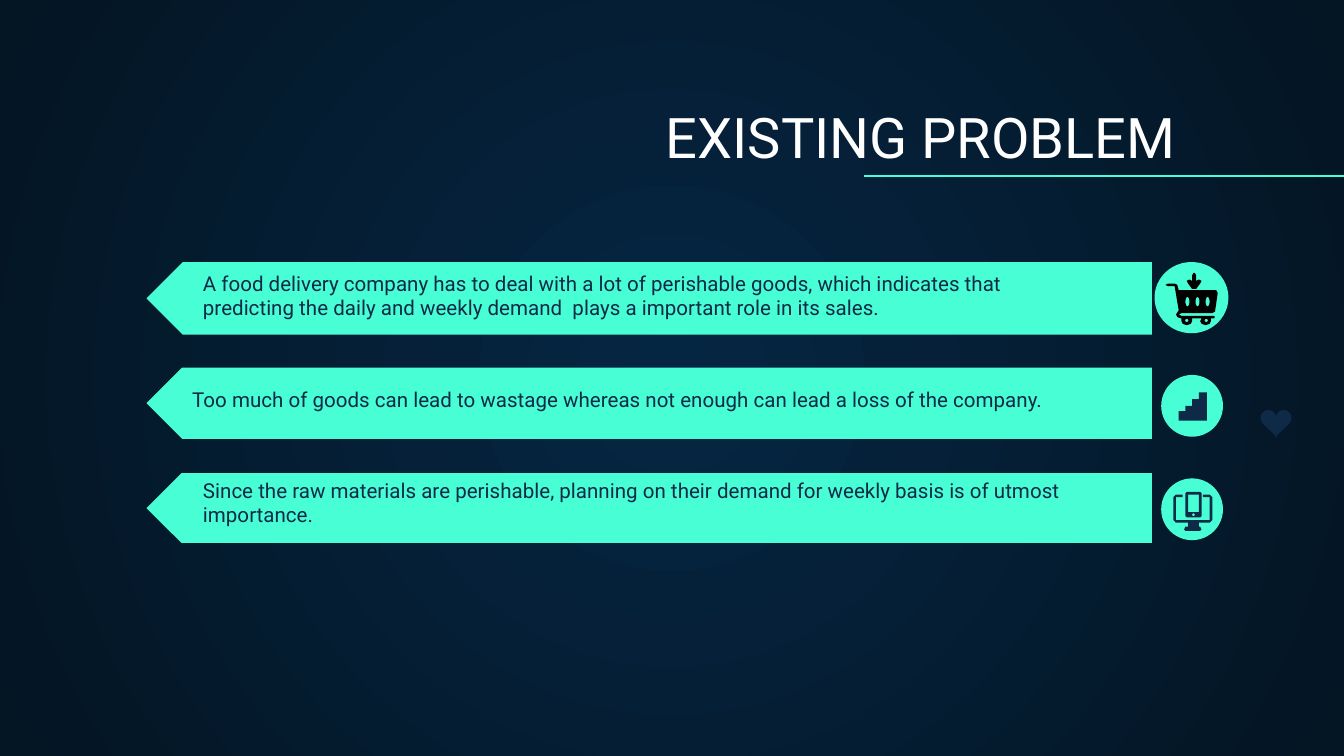
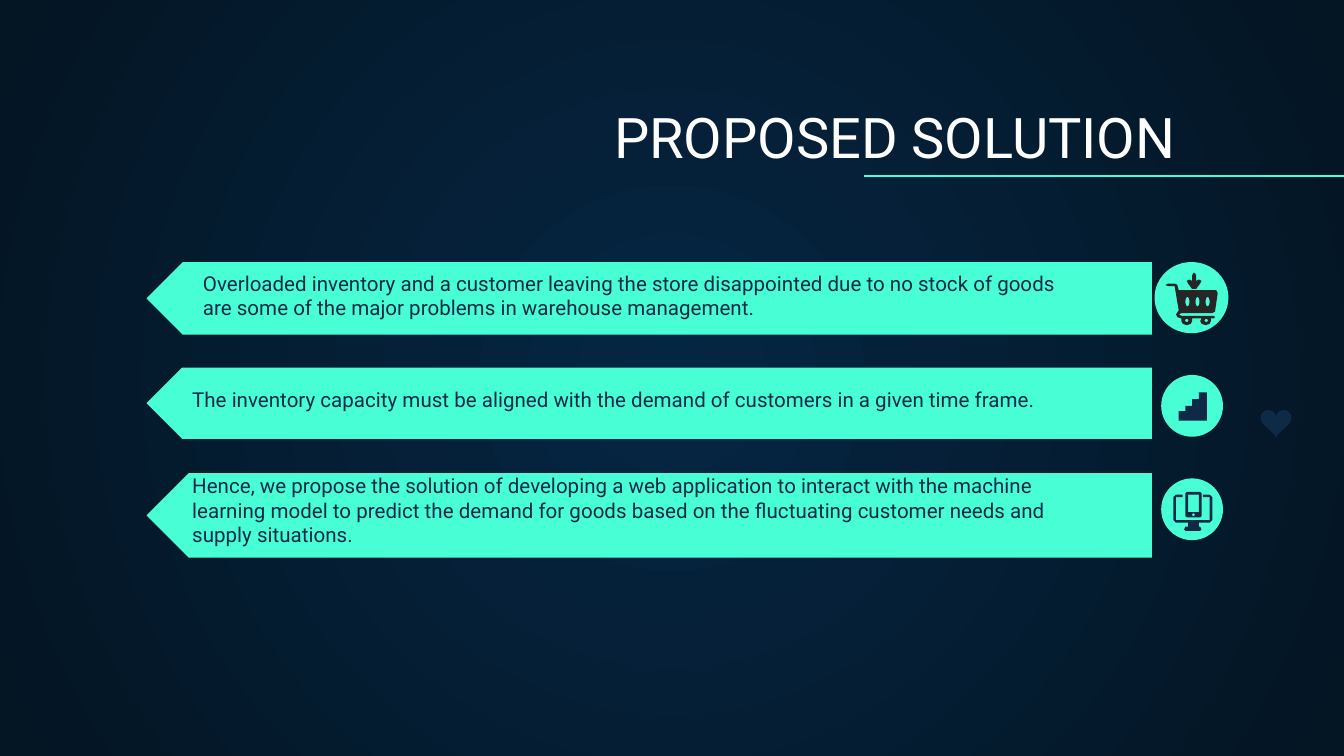
import dataclasses
import math

import lxml.etree
import pptx
import pptx.dml.color
import pptx.enum.shapes
import pptx.enum.text
import pptx.oxml.ns
import pptx.util


@dataclasses.dataclass(frozen=True)
class Theme:
    """Colours, type sizes and font shared by the slides."""
    centre: str = "052643"
    edge: str = "041523"
    accent: str = "48FFD5"
    navy: str = "0E2A47"
    white: str = "FFFFFF"
    black: str = "000000"
    charcoal: str = "262626"
    font: str = "Roboto"
    title_size: int = 30
    body_size: int = 11
    rule_width: float = 0.75


@dataclasses.dataclass(frozen=True)
class Statement:
    """One sentence, its text box and the height of the band behind it."""
    text: str
    box: tuple
    band_height: float


THEME = Theme()
COLUMNS, ROWS = 100, 56.25
BAND_LEFT, BAND_TOP, BAND_WIDTH, BAND_PITCH = 10.9, 19.5, 74.8, 7.85
TITLE_BOX = (2.8, 7, 85.7, 6.6)
BADGES = [(85.9, 19.5, 5.5, 5.3), (86.4, 27.9, 4.6, 4.6), (86.4, 35.6, 4.6, 4.6)]


def grid(cells):
    """Return the length of a number of grid cells."""
    return pptx.util.Inches(cells / 10)


def color(value):
    """Return a colour from its hexadecimal value."""
    return pptx.dml.color.RGBColor.from_string(value)


def oval(x, y, radius_x, radius_y, steps=24):
    """Return the points of an ellipse."""
    angles = [2 * math.pi * step / steps for step in range(steps)]
    return [(x + radius_x * math.cos(a), y + radius_y * math.sin(a)) for a in angles]


def heart(width, height, steps=60):
    """Return the points of a heart that fills the given size."""
    angles = [2 * math.pi * step / steps for step in range(steps)]
    return [(width * (0.5 + math.sin(a) ** 3 / 2),
             height * (12 - 13 * math.cos(a) + 5 * math.cos(2 * a)
                       + 2 * math.cos(3 * a) + math.cos(4 * a)) / 29)
            for a in angles]


ARROW = [[(21, 0), (22, 0), (23, 2), (23, 6), (25, 5), (27, 6), (26, 8), (23, 12),
          (20, 12), (17, 8), (16, 6), (18, 5), (20, 6), (20, 2)]]
CART = [
    [(2, 8), (0, 9), (2, 10), (7, 10), (10, 28), (8, 31), (9, 33), (12, 34), (12, 36),
     (13, 38), (16, 39), (19, 38), (20, 36), (20, 34), (27, 34), (26, 36), (27, 38),
     (30, 39), (33, 38), (34, 36), (34, 34), (36, 34), (37, 33), (36, 32), (12, 32),
     (10, 31), (12, 30), (35, 30), (37, 29), (39, 15), (38, 13), (10, 13), (9, 9), (7, 8)],
    *[oval(x, 21.5, 1.5, 3.5) for x in (16.5, 24, 31.5)],
    *[oval(x, 35.5, 1.2, 1.2) for x in (16, 30.5)],
]
STAIRS = [[(15, 0), (15, 5), (10, 5), (10, 10), (5, 10), (5, 14), (0, 14), (0, 21),
           (21, 21), (21, 0)]]
MONITOR = [[(7, 2), (2, 2), (0, 4), (0, 21), (2, 23), (11, 23), (11, 26), (9, 26),
            (8, 28), (9, 29), (20, 29), (21, 28), (20, 26), (19, 26), (19, 23), (27, 23),
            (29, 21), (29, 4), (27, 2), (22, 2), (22, 4), (27, 4), (27, 21), (2, 21),
            (2, 4), (7, 4)]]
PHONE = [[(10, 0), (20, 0), (21, 1), (21, 18), (20, 19), (10, 19), (9, 18), (9, 1)],
         [(11, 2), (19, 2), (19, 15), (11, 15)],
         oval(15, 17, 1, 1)]
HEART = [heart(23, 21)]


def paint_background(presentation):
    """Give the slide master a round gradient."""
    master = presentation.slide_master
    fill = master.background.fill
    fill.gradient()
    for stop, value in zip(fill.gradient_stops, (THEME.centre, THEME.edge)):
        stop.color.rgb = color(value)
    qualify = pptx.oxml.ns.qn
    gradient = master.element.find(f".//{qualify('p:bgPr')}/{qualify('a:gradFill')}")
    gradient.remove(gradient.find(qualify("a:lin")))
    circle = lxml.etree.SubElement(gradient, qualify("a:path"), path="circle")
    lxml.etree.SubElement(circle, qualify("a:fillToRect"),
                          l="50000", t="50000", r="50000", b="50000")


def paint(shape, value):
    """Fill a shape with one colour, without line or shadow."""
    shape.shadow.inherit = False
    shape.fill.solid()
    shape.fill.fore_color.rgb = color(value)
    shape.line.fill.background()


def write(shape, text, *, box, size, value, align=pptx.enum.text.PP_ALIGN.LEFT):
    """Place a placeholder in front of the other shapes and write formatted text."""
    shape.left, shape.top, shape.width, shape.height = map(grid, box)
    shape.element.getparent().append(shape.element)
    frame = shape.text_frame
    frame.word_wrap = True
    frame.auto_size = pptx.enum.text.MSO_AUTO_SIZE.NONE
    frame.vertical_anchor = pptx.enum.text.MSO_ANCHOR.BOTTOM
    frame.margin_left = frame.margin_right = grid(1)
    frame.margin_top = frame.margin_bottom = grid(1)
    paragraph = frame.paragraphs[0]
    paragraph.alignment = align
    paragraph.line_spacing = 1.0
    paragraph.space_before = paragraph.space_after = pptx.util.Pt(0)
    properties = paragraph.runs[0] if paragraph.runs else paragraph.add_run()
    properties.text = text
    properties.font.name = THEME.font
    properties.font.size = pptx.util.Pt(size)
    properties.font.bold = False
    properties.font.color.rgb = color(value)
    settings = paragraph._p.get_or_add_pPr()
    settings.set("marL", "0")
    settings.set("indent", "0")
    lxml.etree.SubElement(settings, pptx.oxml.ns.qn("a:buNone"))


def add_preset(slide, kind, box, rotation=0):
    """Add a preset shape in the accent colour."""
    shape = slide.shapes.add_shape(kind, *map(grid, box))
    shape.rotation = rotation
    paint(shape, THEME.accent)


def add_icon(slide, left, top, outlines, value):
    """Add a group of outlines, drawn in hundredths of an inch from a corner."""
    group = slide.shapes.add_group_shape()
    for contours in outlines:
        placed = [[(grid(left + x / 10), grid(top + y / 10)) for x, y in contour]
                  for contour in contours]
        builder = group.shapes.build_freeform(*placed[0][0])
        builder.add_line_segments(placed[0][1:])
        for contour in placed[1:]:
            builder.move_to(*contour[0])
            builder.add_line_segments(contour[1:])
        paint(builder.convert_to_shape(), value)


def add_rule(slide):
    """Add the line under the title."""
    rule = slide.shapes.add_connector(pptx.enum.shapes.MSO_CONNECTOR.STRAIGHT,
                                      grid(64.3), grid(13.1), grid(100.9), grid(13.1))
    rule.line.color.rgb = color(THEME.accent)
    rule.line.width = pptx.util.Pt(THEME.rule_width)
    lxml.etree.SubElement(rule.element.spPr, pptx.oxml.ns.qn("a:effectLst"))


def add_statement_slide(presentation, title, statements, cart_color):
    """Add a slide with a title and three statements on arrow bands."""
    slide = presentation.slides.add_slide(
        presentation.slide_layouts.get_by_name("Comparison"))
    shapes = pptx.enum.shapes.MSO_SHAPE
    write(slide.shapes.title, title, box=TITLE_BOX, size=THEME.title_size,
          value=THEME.white, align=pptx.enum.text.PP_ALIGN.RIGHT)
    for row, (statement, badge) in enumerate(zip(statements, BADGES)):
        band = (BAND_LEFT, BAND_TOP + row * BAND_PITCH, BAND_WIDTH, statement.band_height)
        add_preset(slide, shapes.PENTAGON, band, rotation=180)
        add_preset(slide, shapes.OVAL, badge)
        write(slide.placeholders[row + 1], statement.text, box=statement.box,
              size=THEME.body_size, value=THEME.navy)
    unused = slide.placeholders[4].element
    unused.getparent().remove(unused)
    add_icon(slide, 86.7, 20.3, [ARROW, CART], cart_color)
    add_icon(slide, 87.7, 29.2, [STAIRS], THEME.navy)
    add_icon(slide, 87.3, 36.6, [MONITOR, PHONE], THEME.navy)
    add_icon(slide, 93.8, 30.5, [HEART], THEME.navy)
    add_rule(slide)


def main():
    """Build and save the presentation."""
    presentation = pptx.Presentation()
    presentation.slide_width = grid(COLUMNS)
    presentation.slide_height = grid(ROWS)
    paint_background(presentation)
    first_box, second_box = (14.1, 20.3, 67.6, 4.5), (13.3, 27.3, 67.6, 4.3)
    add_statement_slide(presentation, "EXISTING PROBLEM", [
        Statement("A food delivery company has to deal with a lot of perishable goods, "
                  "which indicates that predicting the daily and weekly demand  plays "
                  "a important role in its sales.", first_box, 5.4),
        Statement("Too much of goods can lead to wastage whereas not enough can lead "
                  "a loss of the company.", second_box, 5.3),
        Statement("Since the raw materials are perishable, planning on their demand for "
                  "weekly basis is of utmost importance.", (14.1, 35.2, 67.6, 5), 5.2),
    ], THEME.black)
    add_statement_slide(presentation, "PROPOSED SOLUTION", [
        Statement("Overloaded inventory and a customer leaving the store "
                  "disappointed due to no stock of goods are some of the major problems "
                  "in warehouse management.", first_box, 5.4),
        Statement("The inventory capacity must be aligned with the demand of customers "
                  "in a given time frame.", second_box, 5.3),
        Statement("Hence, we propose the solution of developing a web application to "
                  "interact with the machine learning model to predict the demand for "
                  "goods based on the fluctuating customer needs and supply situations.",
                  (13.3, 36.7, 67.6, 5), 6.3),
    ], THEME.charcoal)
    presentation.save("out.pptx")


if __name__ == "__main__":
    main()
